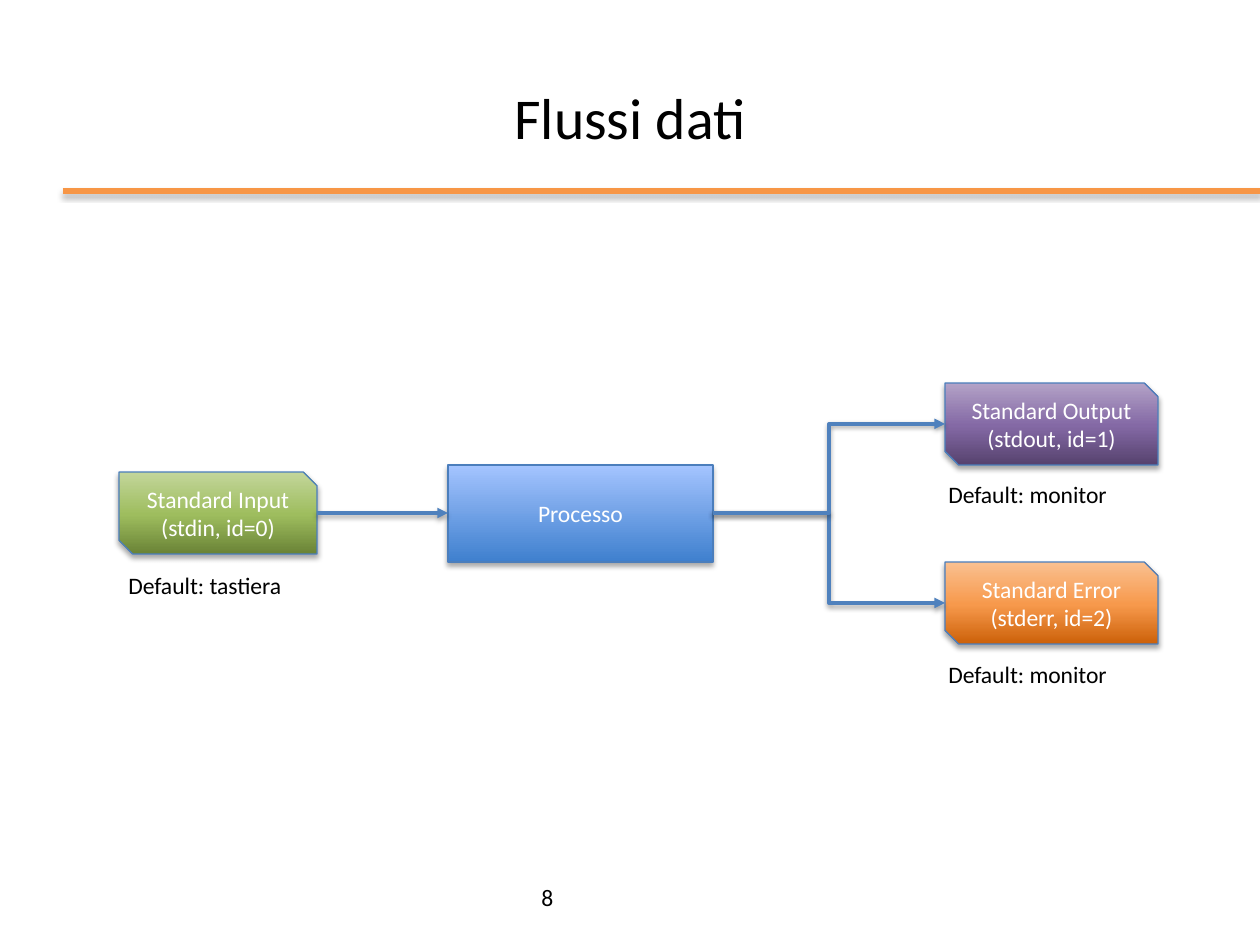
from lxml import etree
from pptx import Presentation
from pptx import util as u
from pptx.dml.color import RGBColor
from pptx.enum import shapes, text
from pptx.oxml import ns

SCALE = 914400 // 126  # EMU per pixel
FONT = "Calibri"
BLACK, WHITE = "000000", "FFFFFF"
OUTLINE, ARROW, ORANGE = "4B7EBC", "4F81BD", "F79646"


def px(*lengths):
    return [u.Emu(round(length * SCALE)) for length in lengths]


def rgb(value):
    return RGBColor.from_string(value)


def child(parent, tag, **attributes):
    values = {name: str(value) for name, value in attributes.items()}
    return etree.SubElement(parent, ns.qn(tag), values)


def add_shadow(effects, opacity, distance):
    outer = child(effects, "a:outerShdw", blurRad=u.Pt(3.1), dist=u.Pt(distance),
                  dir=90 * 60000, rotWithShape=0)
    color = child(outer, "a:srgbClr", val=BLACK)
    child(color, "a:alpha", val=opacity * 1000)


def write(shape, content, size=13.5, color=BLACK, align=text.PP_ALIGN.LEFT,
          anchor=text.MSO_ANCHOR.TOP, wrap=True):
    frame = shape.text_frame
    frame.word_wrap = wrap
    frame.vertical_anchor = anchor
    para = frame.paragraphs[0]
    para.alignment = align
    span = para.add_run()
    span.text = content
    span.font.size = u.Pt(size)
    span.font.name = FONT
    span.font.color.rgb = rgb(color)


def add_label(page, area, content, **style):
    box = page.shapes.add_textbox(*px(*area))
    write(box, content, **style)


def add_node(page, kind, area, content, stops):
    """Add a box whose gradient stops run from bottom to top."""
    box = page.shapes.add_shape(kind, *px(*area))
    box.fill.gradient()
    box.fill.gradient_angle = 90
    stop_list = box._element.spPr.find(".//" + ns.qn("a:gsLst"))
    for stop in list(stop_list):
        stop_list.remove(stop)
    for position, color in stops:
        stop = child(stop_list, "a:gs", pos=position * 1000)
        child(stop, "a:srgbClr", val=color)
    box.line.color.rgb = rgb(OUTLINE)
    box.line.width = u.Pt(0.75)
    box.shadow.inherit = False
    add_shadow(box._element.spPr.find(ns.qn("a:effectLst")), 35, 1.8)
    write(box, content, color=WHITE, align=text.PP_ALIGN.CENTER,
          anchor=text.MSO_ANCHOR.MIDDLE)


def add_line(page, kind, start, end, color=ARROW, width=2, arrow=True,
             opacity=38, distance=1.6):
    line = page.shapes.add_connector(kind, *px(*start, *end))
    line.line.color.rgb = rgb(color)
    line.line.width = u.Pt(width)
    if arrow:
        child(line.line._get_or_add_ln(), "a:tailEnd", type="triangle")
    add_shadow(child(line._element.spPr, "a:effectLst"), opacity, distance)


def main():
    deck = Presentation()
    deck.slide_width, deck.slide_height = px(1260, 945)
    page = deck.slides.add_slide(deck.slide_layouts[6])
    straight = shapes.MSO_CONNECTOR.STRAIGHT
    elbow = shapes.MSO_CONNECTOR.ELBOW
    snipped = shapes.MSO_SHAPE.SNIP_2_DIAG_RECTANGLE

    # Heading and page number
    add_line(page, straight, (63, 191), (1260, 191), color=ORANGE, width=3,
             arrow=False, opacity=35, distance=1.8)
    add_label(page, (63, 38, 1134, 157), "Flussi dati", size=33,
              align=text.PP_ALIGN.CENTER, anchor=text.MSO_ANCHOR.MIDDLE)
    add_label(page, (529, 877, 668, 50), "8")

    # Process and its streams
    add_node(page, shapes.MSO_SHAPE.RECTANGLE, (448, 465, 265, 97), "Processo",
             [(0, "3F80CE"), (100, "A4C4FF")])
    streams = [
        ((119, 472, 198, 82), "Standard Input (stdin, id=0)",
         ("6A8336", "9EBD5E", "C3D69B")),
        ((945, 383, 213, 82), "Standard Output (stdout, id=1)",
         ("56426E", "8469A5", "B3A2C7")),
        ((945, 562, 213, 82), "Standard Error (stderr, id=2)",
         ("CC6109", "F7994C", "FAC090")),
    ]
    for area, content, colors in streams:
        add_node(page, snipped, area, content, list(zip((0, 48, 100), colors)))

    # Data flow arrows
    add_line(page, straight, (317, 513), (448, 513))
    for target in (603, 424):
        add_line(page, elbow, (713, 513), (945, target))

    # Default devices
    for left, top, width, device in ((116, 565, 180, "tastiera"),
                                     (936, 654, 186, "monitor"),
                                     (936, 474, 186, "monitor")):
        add_label(page, (left, top, width, 42), f"Default: {device}", wrap=False)

    deck.save("out.pptx")


main()
